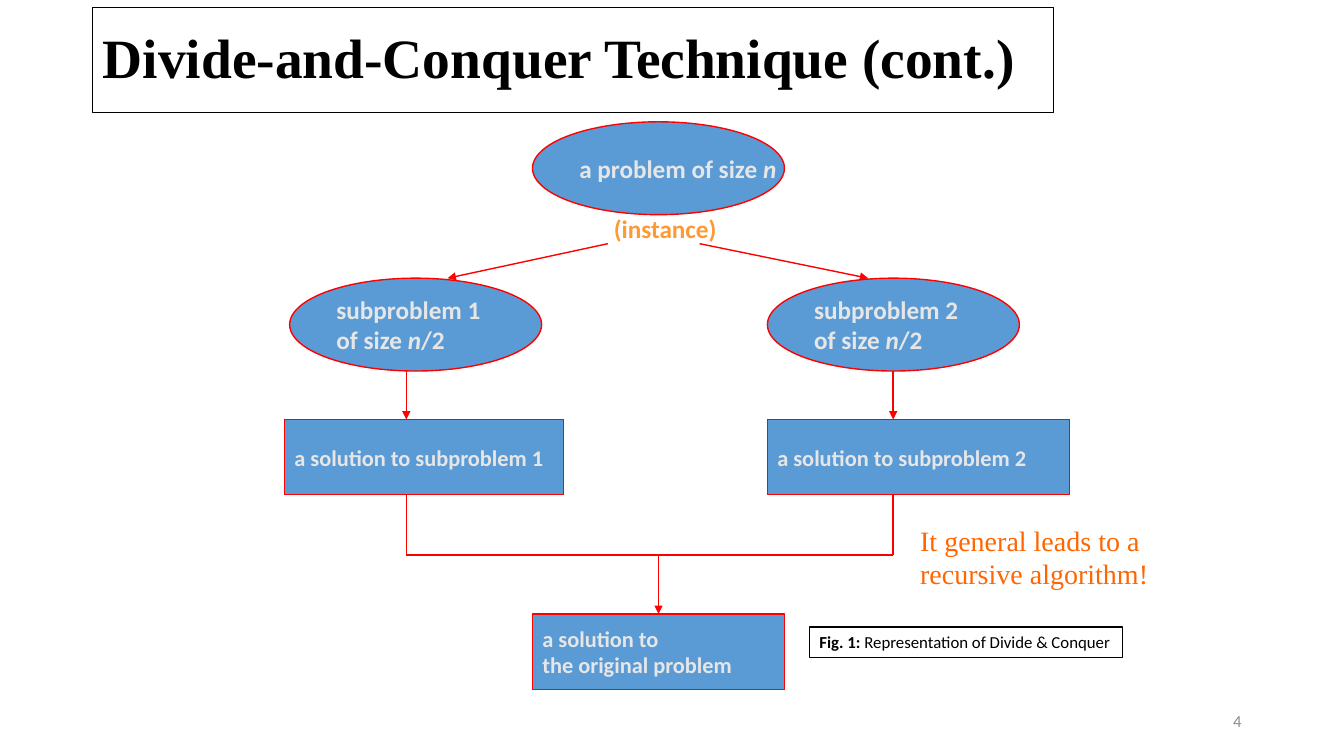
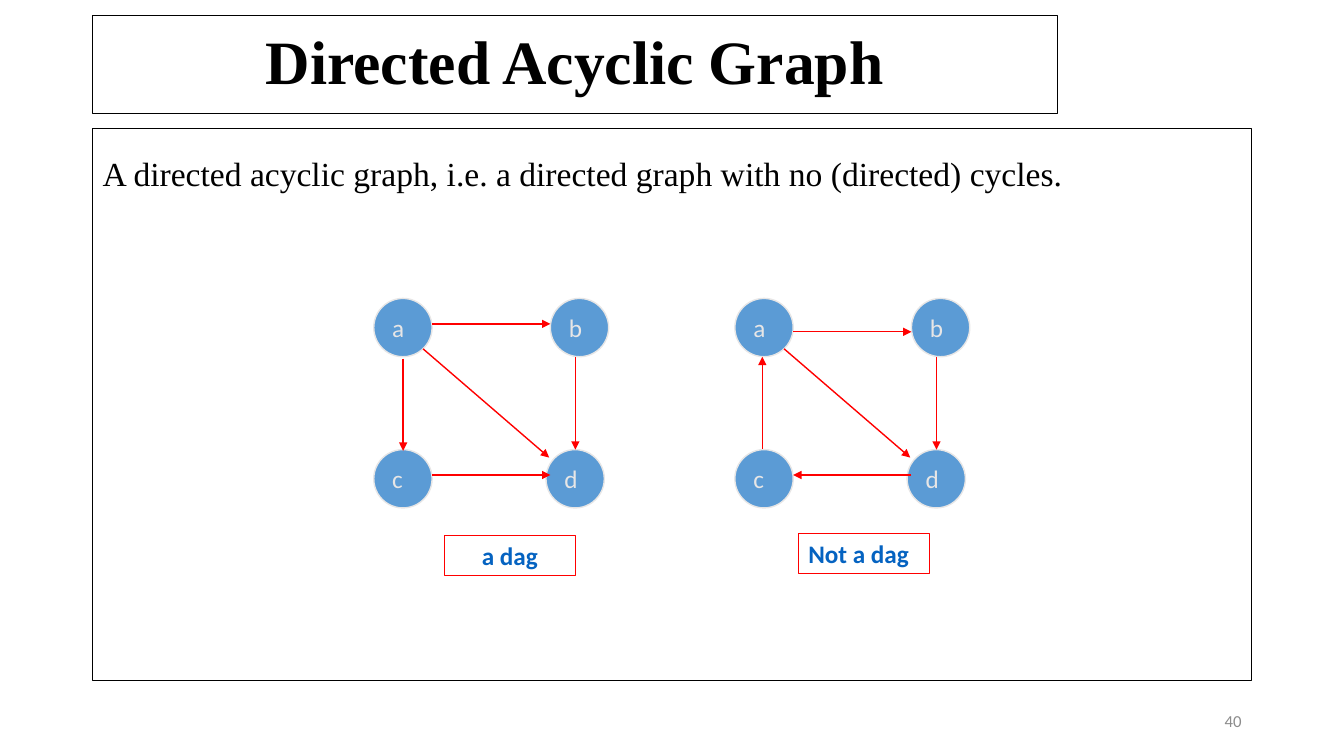
import collections

import lxml.etree
import pptx
import pptx.dml.color
import pptx.enum.shapes
import pptx.enum.text
import pptx.oxml.ns
import pptx.util

Cm = pptx.util.Cm
Pt = pptx.util.Pt
RGBColor = pptx.dml.color.RGBColor
Align = pptx.enum.text.PP_ALIGN
Anchor = pptx.enum.text.MSO_ANCHOR
Preset = pptx.enum.shapes.MSO_SHAPE

BLACK = RGBColor(0x00, 0x00, 0x00)
RED = RGBColor(0xFF, 0x00, 0x00)
BLUE = RGBColor(0x5B, 0x9B, 0xD5)
PALE = RGBColor(0xE7, 0xE6, 0xE6)
GRAY = RGBColor(0x8C, 0x8C, 0x8C)
AMBER = RGBColor(0xFF, 0x99, 0x33)
ORANGE = RGBColor(0xFF, 0x66, 0x00)
LINK_BLUE = RGBColor(0x05, 0x63, 0xC1)
SANS = "Calibri"
SERIF = "Times New Roman"

Area = collections.namedtuple("Area", "left top width height")


def inside(area, left, top, width, height):
    return Area(area.left + left, area.top + top, width, height)


def lengths(area):
    return [Cm(value) for value in area]


def write_text(box, paragraphs, size=18, font=SANS, color=PALE, bold=False,
               align=Align.LEFT, anchor=Anchor.TOP, wrap=True, spacing=None):
    frame = box.text_frame
    frame.word_wrap = wrap
    frame.vertical_anchor = anchor
    for index, spans in enumerate(paragraphs):
        para = frame.add_paragraph() if index else frame.paragraphs[0]
        para.alignment = align
        if spacing:
            para.line_spacing = spacing
        for text, style in spans:
            span = para.add_run()
            span.text = text
            span.font.name = font
            span.font.size = Pt(size)
            span.font.color.rgb = color
            span.font.bold = bold or style == "bold"
            span.font.italic = style == "italic"


def plain(*lines):
    return [[(line, None)] for line in lines]


def add_text(page, area, paragraphs, outline=None, weight=0.75, **text_format):
    box = page.shapes.add_textbox(*lengths(area))
    if outline is not None:
        box.line.color.rgb = outline
        box.line.width = Pt(weight)
    write_text(box, paragraphs, **text_format)
    return box


def add_node(page, preset, area, paragraphs, outline=RED, **text_format):
    node = page.shapes.add_shape(preset, *lengths(area))
    node.shadow.inherit = False
    node.fill.solid()
    node.fill.fore_color.rgb = BLUE
    node.line.color.rgb = outline
    node.line.width = Pt(1)
    write_text(node, paragraphs, anchor=Anchor.MIDDLE, wrap=False, **text_format)
    return node


def add_edge(page, area, start, end, arrow=True):
    edge = page.shapes.add_connector(
        pptx.enum.shapes.MSO_CONNECTOR.STRAIGHT,
        Cm(area.left + start[0]), Cm(area.top + start[1]),
        Cm(area.left + end[0]), Cm(area.top + end[1]))
    edge.line.color.rgb = RED
    edge.line.width = Pt(1)
    qn = pptx.oxml.ns.qn
    if arrow:
        line = edge.line._get_or_add_ln()
        lxml.etree.SubElement(line, qn("a:tailEnd"), type="triangle")
    lxml.etree.SubElement(edge._element.spPr, qn("a:effectLst"))
    return edge


def add_page(deck, title, title_area, number, size, align=Align.LEFT):
    page = deck.slides.add_slide(deck.slide_layouts[6])
    add_text(page, title_area, plain(title), outline=BLACK, size=size, font=SERIF,
             color=BLACK, bold=True, align=align, anchor=Anchor.MIDDLE, spacing=0.9)
    add_text(page, Area(23.92, 17.65, 7.62, 1.01), plain(number), size=12,
             color=GRAY, align=Align.RIGHT, anchor=Anchor.MIDDLE)
    return page


def draw_division(page, area):
    oval_width, oval_height, box_height = 6.35, 2.34, 1.9
    sub_top, solution_top, bus, final_top = 3.94, 7.5, 10.92, 12.4
    center_left = 6.25
    center = center_left + oval_width / 2

    add_node(page, Preset.OVAL, inside(area, center_left, 0, oval_width, oval_height),
             [[("a problem of size ", None), ("n", "italic")]], bold=True)
    add_text(page, inside(area, 8.05, 2.18, 4.01, 1.02), plain("(instance)"),
             color=AMBER, bold=True)

    branches = (
        ("1", 0.13, 0, 7.04, 3.07, 8.15, 4.11),
        ("2", 12.17, 12.17, 7.62, 15.34, 10.46, 14.71),
    )
    for name, oval_left, box_left, box_width, stem, fork, tip in branches:
        add_node(page, Preset.OVAL,
                 inside(area, oval_left, sub_top, oval_width, oval_height),
                 [[("subproblem " + name, None)],
                  [("of size ", None), ("n", "italic"), ("/2", None)]], bold=True)
        add_node(page, Preset.RECTANGLE,
                 inside(area, box_left, solution_top, box_width, box_height),
                 plain("a solution to subproblem " + name), size=16, bold=True)
        add_edge(page, area, (fork, 3.07), (tip, sub_top))
        add_edge(page, area, (stem, sub_top + oval_height), (stem, solution_top))
        add_edge(page, area, (stem, solution_top + box_height), (stem, bus), arrow=False)
    add_edge(page, area, (branches[0][4], bus), (branches[1][4], bus), arrow=False)

    final = add_node(page, Preset.RECTANGLE,
                     inside(area, center_left, final_top, oval_width, box_height),
                     plain("a solution to", "the original problem"), size=16, bold=True)
    merge = add_edge(page, area, (center, bus), (center, final_top))
    merge.end_connect(final, 0)


def draw_graph(page, area, edges, label, label_offset, label_align):
    diameter = 1.47
    nodes = {"a": (0, 0), "b": (4.45, 0), "c": (0, 3.81), "d": (4.34, 3.81)}
    for name, (left, top) in nodes.items():
        add_node(page, Preset.OVAL, inside(area, left, top, diameter, diameter),
                 plain(name), outline=PALE)
    shared_edges = [((5.08, diameter), (5.08, 3.81)), ((1.24, 1.27), (4.42, 4.01))]
    for start, end in shared_edges + edges:
        add_edge(page, area, start, end)
    add_text(page, inside(area, *label_offset, 3.3, 1.02), plain(label),
             outline=RED, weight=1, color=LINK_BLUE, bold=True, align=label_align)


def build_technique_page(deck):
    page = add_page(deck, "Divide-and-Conquer Technique (cont.)",
                    Area(2.34, 0.2, 24.21, 2.64), "4", size=39.6)
    draw_division(page, Area(7.17, 3.07, 19.79, 14.3))
    add_text(page, Area(22.94, 13.06, 7.62, 1.96),
             plain("It general leads to a recursive algorithm!"),
             size=20, font=SERIF, color=ORANGE)
    add_text(page, Area(20.4, 15.8, 7.9, 0.76),
             [[("Fig. 1: ", "bold"), ("Representation of Divide & Conquer", None)]],
             outline=BLACK, size=12, color=BLACK, wrap=False)


def build_graph_page(deck):
    page = add_page(deck, "Directed Acyclic Graph", Area(2.34, 0.38, 24.31, 2.49),
                    "40", size=44, align=Align.CENTER)
    add_text(page, Area(2.34, 3.23, 29.21, 13.92),
             plain("A directed acyclic graph, i.e. a directed graph with no "
                   "(directed) cycles."),
             outline=BLACK, size=24, font=SERIF, color=BLACK,
             align=Align.JUSTIFY, spacing=1.5)
    acyclic = [((1.47, 0.64), (4.45, 0.64)), ((1.47, 4.45), (4.45, 4.45)),
               ((0.74, 1.52), (0.74, 3.84))]
    cyclic = [((1.47, 0.84), (4.45, 0.84)), ((4.45, 4.45), (1.47, 4.45)),
              ((0.69, 3.79), (0.69, 1.47))]
    draw_graph(page, Area(9.42, 7.52, 5.92, 6.99), acyclic,
               "a dag", (1.78, 5.97), Align.CENTER)
    draw_graph(page, Area(18.52, 7.52, 5.92, 6.99), cyclic,
               "Not a dag", (1.6, 5.92), Align.LEFT)


def main():
    deck = pptx.Presentation()
    deck.slide_width = Cm(33.87)
    deck.slide_height = Cm(19.05)
    build_technique_page(deck)
    build_graph_page(deck)
    deck.save("out.pptx")


if __name__ == "__main__":
    main()
